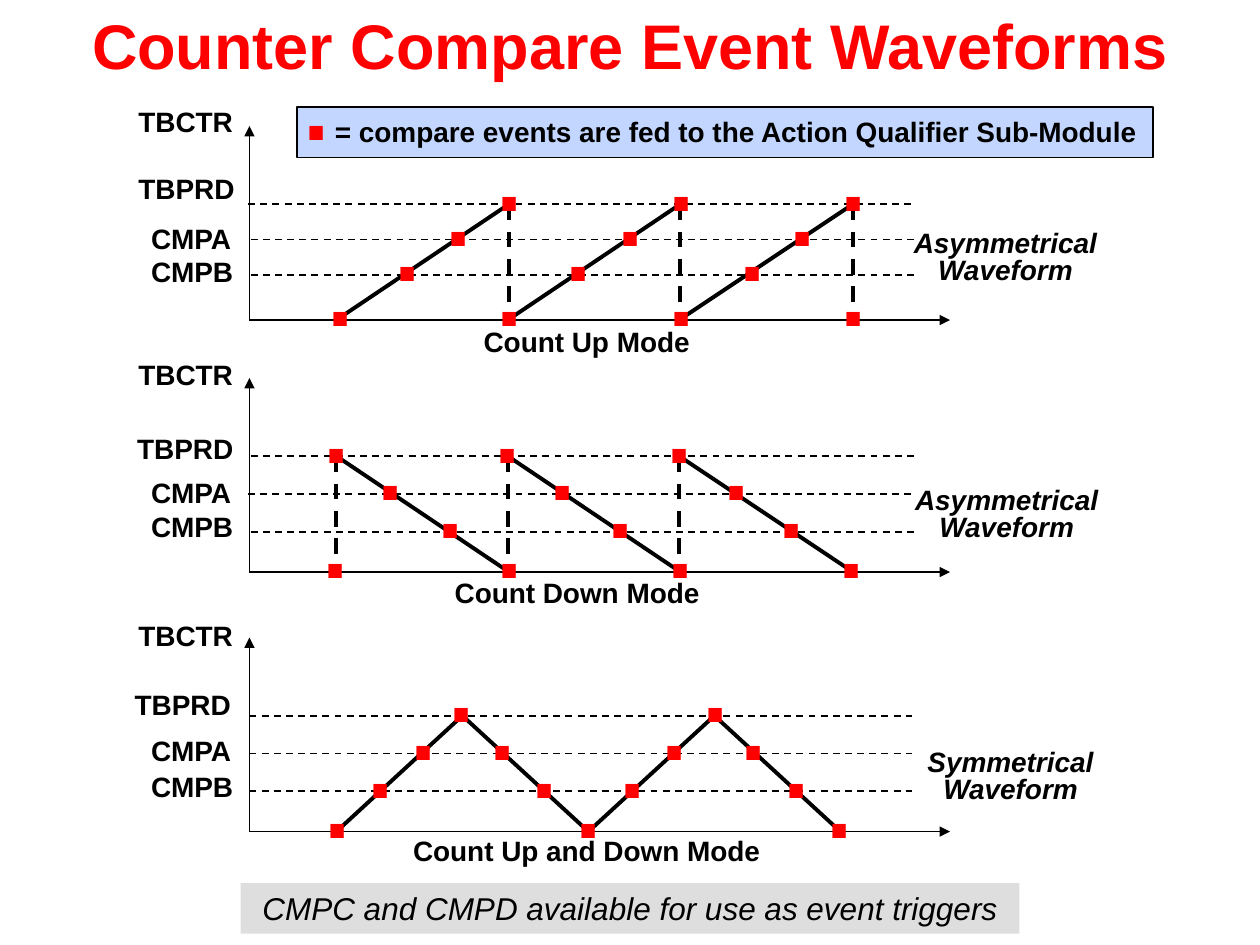
"""Build the counter compare event waveforms slide."""
from dataclasses import dataclass

from lxml import etree
from pptx import Presentation
from pptx.dml.color import RGBColor
from pptx.enum.dml import MSO_LINE
from pptx.enum.shapes import MSO_CONNECTOR, MSO_SHAPE
from pptx.enum.text import MSO_ANCHOR, MSO_AUTO_SIZE, PP_ALIGN
from pptx.oxml.ns import qn
from pptx.util import Inches, Pt

STRAIGHT = MSO_CONNECTOR.STRAIGHT
RECT = MSO_SHAPE.RECTANGLE
DASH = MSO_LINE.DASH
MIDDLE = MSO_ANCHOR.MIDDLE
LEFT, CENTER = PP_ALIGN.LEFT, PP_ALIGN.CENTER
FIT = MSO_AUTO_SIZE.SHAPE_TO_FIT_TEXT
BLACK, RED, BLUE, GRAY = "000000", "FF0000", "C2D6FF", "DEDEDE"
AXIS_X, AXIS_END, AXIS_H = 1.98, 7.54, 1.54
LEVEL_W, LABEL_H = 5.26, 0.31


@dataclass
class Level:
    name: str
    y: float
    line_x: float
    label: tuple[float, float, float]
    dots: tuple[float, ...]


@dataclass
class Waveform:
    mode: str
    mode_box: tuple[float, float, float]
    kind: str
    kind_box: tuple[float, float, float]
    base: float
    counter_y: float
    base_dots: tuple[float, ...]
    ramps: tuple[tuple[float, float], ...]
    drops: tuple[float, ...]
    levels: tuple[Level, ...]


WAVEFORMS = (
    Waveform("Count Up Mode", (3.74, 2.58, 1.84), "Asymmetrical", (7.15, 1.79, 1.66),
             2.54, 0.83, (2.7, 4.04, 5.41, 6.77),
             ((2.67, 4.04), (4.03, 5.4), (5.39, 6.77)), (4.04, 5.4, 6.77),
             (Level("TBPRD", 1.62, 1.97, (1, 1.36, 1), (4.04, 5.41, 6.77)),
              Level("CMPA", 1.9, 1.99, (1.1, 1.76, 0.85), (3.64, 5, 6.37)),
              Level("CMPB", 2.18, 1.99, (1.1, 2.02, 0.85), (3.23, 4.59, 5.97)))),
    Waveform("Count Down Mode", (3.51, 4.57, 2.15), "Asymmetrical", (7.16, 3.83, 1.66),
             4.54, 2.84, (2.66, 4.04, 5.4, 6.76),
             ((4.04, 2.67), (5.4, 4.03), (6.77, 5.39)), (2.67, 4.03, 5.39),
             (Level("TBPRD", 3.62, 1.99, (0.99, 3.43, 1), (2.67, 4.03, 5.39)),
              Level("CMPA", 3.92, 1.97, (1.1, 3.78, 0.85), (3.1, 4.46, 5.84)),
              Level("CMPB", 4.22, 1.99, (1.1, 4.05, 0.85), (3.57, 4.92, 6.28)))),
    Waveform("Count Up and Down Mode", (3.18, 6.62, 2.97), "Symmetrical", (7.26, 5.91, 1.52),
             6.6, 4.91, (2.68, 4.67, 6.66),
             ((2.67, 3.67), (4.67, 3.67), (4.67, 5.67), (6.67, 5.67)), (),
             (Level("TBPRD", 5.68, 1.98, (0.97, 5.46, 1), (3.66, 5.68)),
              Level("CMPA", 5.98, 1.98, (1.1, 5.82, 0.85), (3.36, 3.99, 5.35, 5.98)),
              Level("CMPB", 6.28, 1.98, (1.1, 6.11, 0.85), (3.02, 4.32, 5.02, 6.32)))),
)


def color(value: str) -> RGBColor:
    return RGBColor.from_string(value)


def add_run(p, text: str, size: float, fill: str, bold: bool = True, italic: bool = False) -> None:
    r = p.add_run()
    r.text = text
    r.font.name = "Arial"
    r.font.size = Pt(size)
    r.font.bold = bold
    r.font.italic = italic
    r.font.color.rgb = color(fill)


def add_text(s, lines: tuple[str, ...], x: float, y: float, w: float, h: float = LABEL_H,
             size: float = 16, fill: str = BLACK, italic: bool = False, align=LEFT) -> None:
    tf = s.shapes.add_textbox(Inches(x), Inches(y), Inches(w), Inches(h)).text_frame
    tf.word_wrap = False
    tf.auto_size = FIT
    for i, line in enumerate(lines):
        p = tf.add_paragraph() if i else tf.paragraphs[0]
        p.alignment = align
        p.line_spacing = 0.8
        add_run(p, line, size, fill, italic=italic)


def add_line(s, x1: float, y1: float, x2: float, y2: float, width: float = 1,
             dashed: bool = False, arrow: bool = False) -> None:
    sp = s.shapes.add_connector(STRAIGHT, Inches(x1), Inches(y1), Inches(x2), Inches(y2))
    sp.line.color.rgb = color(BLACK)
    sp.line.width = Pt(width)
    if dashed:
        sp.line.dash_style = DASH
    if arrow:
        etree.SubElement(sp.line._get_or_add_ln(), qn("a:tailEnd"), type="triangle")
    etree.SubElement(sp._element.spPr, qn("a:effectLst"))


def add_rect(s, x: float, y: float, w: float, h: float, fill: str, outlined: bool = False):
    sp = s.shapes.add_shape(RECT, Inches(x), Inches(y), Inches(w), Inches(h))
    sp.shadow.inherit = False
    sp.fill.solid()
    sp.fill.fore_color.rgb = color(fill)
    if outlined:
        sp.line.color.rgb = color(BLACK)
        sp.line.width = Pt(1)
    else:
        sp.line.fill.background()
    return sp


def add_dot(s, x: float, y: float) -> None:
    add_text(s, (".",), x - 0.2, y - 0.57, 0.39, 0.83, 54, RED)


def draw_waveform(s, wave: Waveform) -> None:
    peak = wave.levels[0].y
    for start, end in wave.ramps:
        add_line(s, start, wave.base, end, peak, 2.25)
    for x in wave.drops:
        add_line(s, x, peak, x, wave.base, 2.25, dashed=True)
    add_line(s, AXIS_X, wave.base, AXIS_END, wave.base, arrow=True)
    add_line(s, AXIS_X, wave.base, AXIS_X, wave.base - AXIS_H, arrow=True)
    add_text(s, ("TBCTR",), 1, wave.counter_y, 0.97)
    add_text(s, (wave.mode,), *wave.mode_box)
    add_text(s, (wave.kind, "Waveform"), *wave.kind_box, 0.53, italic=True, align=CENTER)
    for level in wave.levels:
        add_line(s, level.line_x, level.y, level.line_x + LEVEL_W, level.y, dashed=True)
        add_text(s, (level.name,), *level.label)
        for x in level.dots:
            add_dot(s, x, level.y)
    for x in wave.base_dots:
        add_dot(s, x, wave.base)


def add_title(s, text: str) -> None:
    sp = s.shapes.title
    sp.left, sp.top, sp.width, sp.height = Inches(0), Inches(0), Inches(10), Inches(0.81)
    tf = sp.text_frame
    tf.vertical_anchor = MIDDLE
    tf.margin_bottom = Inches(0.16)
    p = tf.paragraphs[0]
    p.alignment = CENTER
    add_run(p, text, 36, RED)


def add_legend(s) -> None:
    add_rect(s, 2.36, 0.85, 6.79, 0.4, BLUE, outlined=True)
    add_dot(s, 2.51, 1.06)
    add_text(s, ("= compare events are fed to the Action Qualifier Sub-Module",), 2.56, 0.91, 6.6)


def add_footer(s) -> None:
    tf = add_rect(s, 1.91, 7.01, 6.18, 0.4, GRAY).text_frame
    tf.word_wrap = True
    tf.vertical_anchor = MIDDLE
    tf.margin_top = Inches(0.1)
    p = tf.paragraphs[0]
    p.alignment = CENTER
    p.line_spacing = 0.8
    add_run(p, "CMPC and CMPD available for use as event triggers", 18, BLACK, False, True)


def main() -> None:
    prs = Presentation()
    prs.slide_width, prs.slide_height = Inches(10), Inches(7.5)
    s = prs.slides.add_slide(prs.slide_layouts[5])
    add_title(s, "Counter Compare Event Waveforms")
    for wave in WAVEFORMS:
        draw_waveform(s, wave)
    add_legend(s)
    add_footer(s)
    prs.save("out.pptx")


if __name__ == "__main__":
    main()
